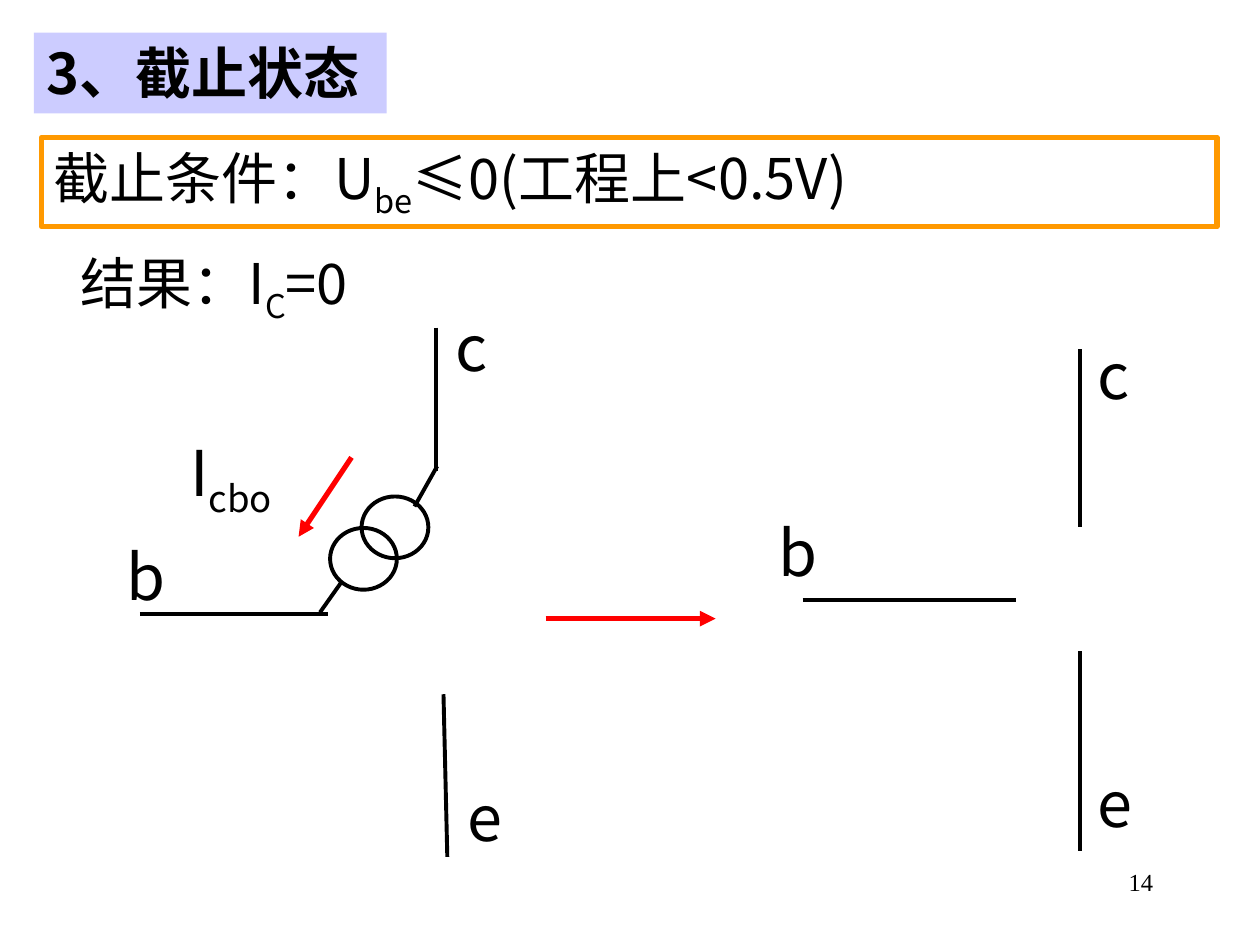
from dataclasses import dataclass
from typing import Optional

from lxml import etree
from pptx import Presentation
from pptx import util as u
from pptx.dml.color import RGBColor
from pptx.enum import shapes, text
from pptx.oxml import ns

COLORS = {"ink": "000000", "arrow": "FF0000", "frame": "FF9900", "title": "CCCCFF"}
SANS = "Noto Sans CJK SC"
SERIF = "Times New Roman"
SUBSCRIPT = "-25000"
WIRE_WIDTH = 2.24
BOLD_WIDTH = 3


@dataclass
class Box:
    left: float
    top: float
    width: float
    height: float


@dataclass
class Label:
    box: Box
    runs: list[tuple[str, bool]]
    size: int = 36
    font: str = SANS
    bold: bool = False
    wrap: bool = False
    align: text.PP_ALIGN = text.PP_ALIGN.LEFT
    fill: Optional[str] = None
    line: Optional[str] = None


@dataclass
class Wire:
    start: tuple[float, float]
    end: tuple[float, float]
    arrow: bool = False


def terminal(name: str, left: float, top: float) -> Label:
    return Label(Box(left, top, 0.5, 0.7), [(name, False)])


LABELS = [
    Label(Box(7.17, 6.83, 2.08, 0.5), [("14", False)], 14, SERIF,
          wrap=True, align=text.PP_ALIGN.RIGHT),
    Label(Box(0.54, 1.92, 2.6, 0.71),
          [("结果：I", False), ("C", True), ("=0", False)], 32),
    Label(Box(0.33, 1.09, 9.33, 0.71),
          [("截止条件：U", False), ("be", True), ("≤0(工程上<0.5V)", False)],
          32, wrap=True, line="frame"),
    Label(Box(0.27, 0.26, 2.8, 0.64), [("3、截止状态", False)], 32,
          bold=True, fill="title"),
    Label(Box(1.41, 3.39, 1.02, 0.79), [("I", False), ("cbo", True)]),
    terminal("b", 0.91, 4.22),
    terminal("c", 3.52, 2.4),
    terminal("e", 3.61, 6.13),
    terminal("b", 6.08, 4.03),
    terminal("c", 8.61, 2.62),
    terminal("e", 8.61, 6.02),
]

WIRES = [
    Wire((2.79, 3.63), (2.37, 4.26), arrow=True),
    Wire((1.11, 4.87), (2.6, 4.87)),
    Wire((3.46, 2.6), (3.46, 3.74)),
    Wire((3.52, 5.51), (3.55, 6.8)),
    Wire((2.71, 4.62), (2.54, 4.86)),
    Wire((3.29, 4.02), (3.47, 3.7)),
    Wire((6.37, 4.76), (8.06, 4.76)),
    Wire((8.57, 4.18), (8.57, 2.77)),
    Wire((8.57, 5.17), (8.57, 6.75)),
    Wire((4.33, 4.91), (5.68, 4.91), arrow=True),
]

SOURCE_RINGS = [Box(2.87, 3.94, 0.53, 0.49), Box(2.62, 4.19, 0.53, 0.49)]


def color(name: str) -> RGBColor:
    return RGBColor.from_string(COLORS[name])


def add_shape(slide, kind, box: Box, fill: Optional[str], line: Optional[str], width: float):
    shape = slide.shapes.add_shape(kind, u.Inches(box.left), u.Inches(box.top),
                                   u.Inches(box.width), u.Inches(box.height))
    shape.shadow.inherit = False
    if fill:
        shape.fill.solid()
        shape.fill.fore_color.rgb = color(fill)
    else:
        shape.fill.background()
    if line:
        shape.line.color.rgb = color(line)
        shape.line.width = u.Pt(width)
    else:
        shape.line.fill.background()
    return shape


def add_label(slide, label: Label) -> None:
    box = label.box
    if label.fill or label.line:
        shape = add_shape(slide, shapes.MSO_SHAPE.RECTANGLE, box,
                          label.fill, label.line, BOLD_WIDTH)
    else:
        shape = slide.shapes.add_textbox(u.Inches(box.left), u.Inches(box.top),
                                         u.Inches(box.width), u.Inches(box.height))
    frame = shape.text_frame
    frame.word_wrap = label.wrap
    frame.auto_size = text.MSO_AUTO_SIZE.NONE
    frame.vertical_anchor = text.MSO_ANCHOR.TOP
    paragraph = frame.paragraphs[0]
    paragraph.alignment = label.align
    for words, lowered in label.runs:
        run = paragraph.add_run()
        run.text = words
        run.font.size = u.Pt(label.size)
        run.font.name = label.font
        run.font.bold = label.bold
        run.font.color.rgb = color("ink")
        properties = run.font._element
        etree.SubElement(properties, ns.qn("a:ea")).set("typeface", label.font)
        if lowered:
            properties.set("baseline", SUBSCRIPT)


def add_wire(slide, wire: Wire) -> None:
    connector = slide.shapes.add_connector(
        shapes.MSO_CONNECTOR.STRAIGHT,
        *(u.Inches(value) for value in wire.start + wire.end))
    connector.line.color.rgb = color("arrow" if wire.arrow else "ink")
    connector.line.width = u.Pt(BOLD_WIDTH if wire.arrow else WIRE_WIDTH)
    if wire.arrow:
        outline = connector.line._get_or_add_ln()
        etree.SubElement(outline, ns.qn("a:tailEnd")).set("type", "triangle")
    etree.SubElement(connector._element.spPr, ns.qn("a:effectLst"))


def main() -> None:
    presentation = Presentation()
    presentation.slide_width = u.Inches(10)
    presentation.slide_height = u.Inches(7.5)
    slide = presentation.slides.add_slide(presentation.slide_layouts[6])
    for label in LABELS:
        add_label(slide, label)
    for wire in WIRES:
        add_wire(slide, wire)
    for ring in SOURCE_RINGS:
        add_shape(slide, shapes.MSO_SHAPE.OVAL, ring, None, "ink", WIRE_WIDTH)
    presentation.save("out.pptx")


main()
